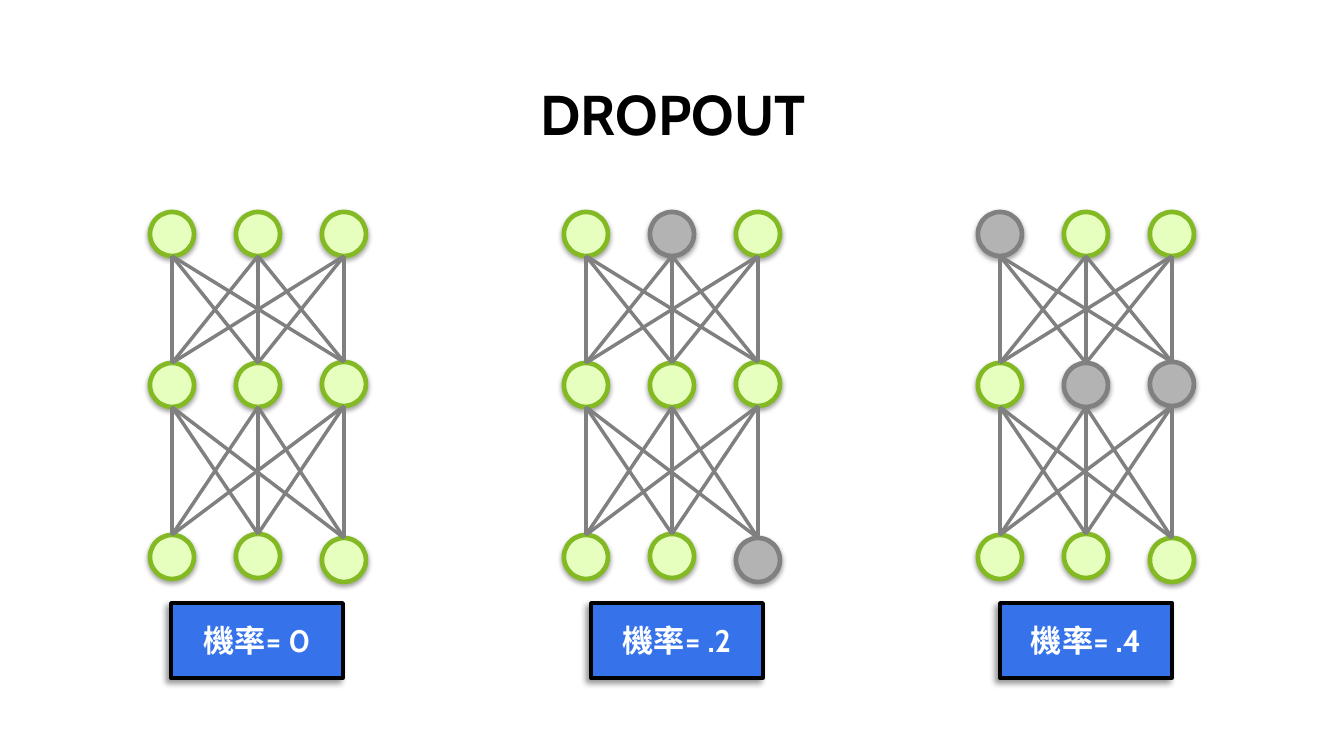
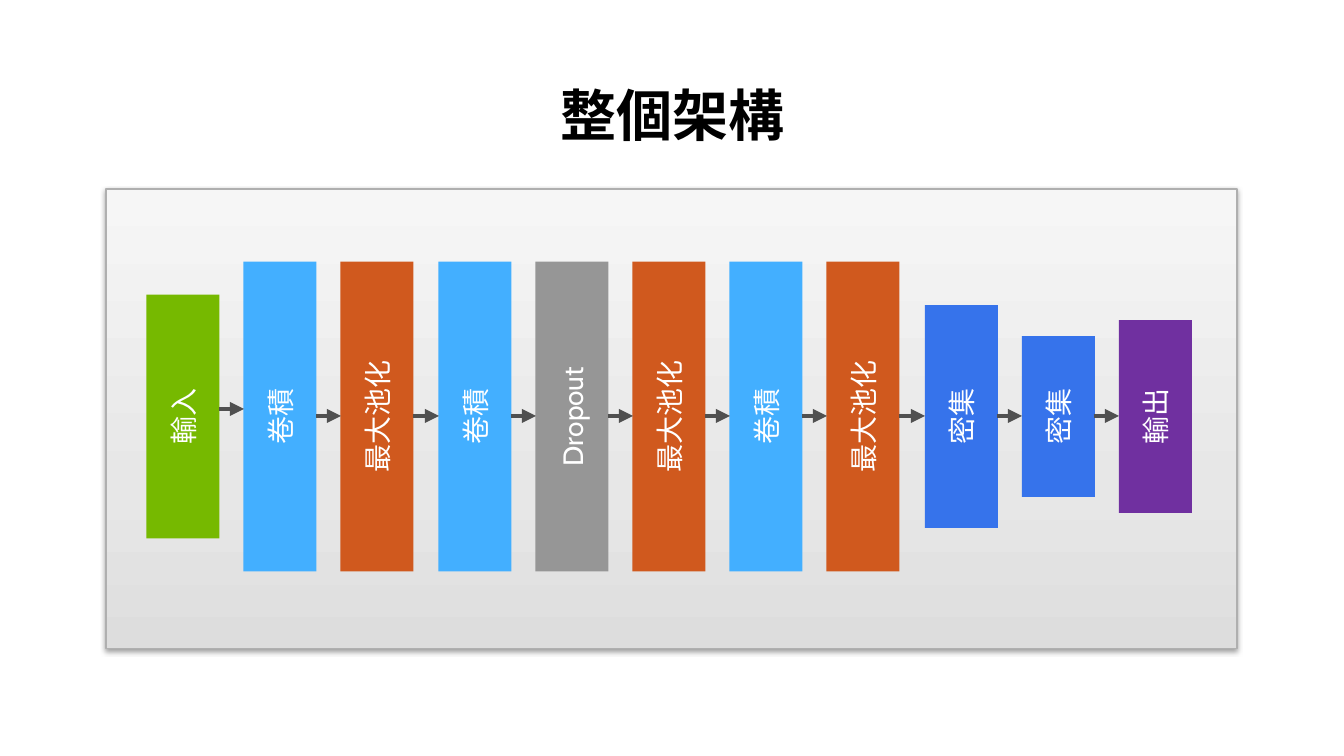
from copy import deepcopy
from dataclasses import dataclass
from itertools import product

from lxml.etree import SubElement as Sub
from pptx import Presentation
from pptx.dml.color import RGBColor as Rgb
from pptx.enum.shapes import MSO_CONNECTOR as Link, MSO_SHAPE as Form
from pptx.enum.text import MSO_ANCHOR as Anchor, MSO_AUTO_SIZE as Fit, PP_ALIGN as Align
from pptx.oxml.ns import qn
from pptx.util import Inches, Pt


@dataclass(frozen=True)
class Theme:
    font: str = "Cabin"
    head: int = 36
    label: int = 20
    body: int = 18
    black: str = "000000"
    white: str = "FFFFFF"
    live: tuple = ("E7FFBE", "83BA24")
    dead: tuple = ("B3B3B3", "808080")
    wire: str = "808080"
    arrow: str = "505050"
    rim: str = "AFAFAF"
    ramp: tuple = ((0, "DDDDDD"), (0.35, "E7E7E7"), (1, "F6F6F6"))
    green: str = "76B900"
    sky: str = "43AFFF"
    rust: str = "D0591E"
    gray: str = "969696"
    blue: str = "3673EB"
    plum: str = "7030A0"


theme = Theme()
PX = Inches(1) // 112


def paint(item, fill=None, edge=None, width=0, shade=None):
    if fill:
        item.fill.solid()
        item.fill.fore_color.rgb = Rgb.from_string(fill)
    if edge:
        item.line.color.rgb = Rgb.from_string(edge)
        item.line.width = Pt(width)
    else:
        item.line.fill.background()
    effect = Sub(item.element.spPr, qn("a:effectLst"))
    if shade:
        alpha, blur, dist, angle = shade
        outer = Sub(effect, qn("a:outerShdw"), blurRad=str(Pt(blur)), dist=str(Pt(dist)),
                    dir=str(angle * 60000), rotWithShape="0")
        tone = Sub(outer, qn("a:srgbClr"), val=theme.black)
        Sub(tone, qn("a:alpha"), val=str(alpha * 1000))


def write(item, text, size, tone=theme.white, bold=False, anchor=Anchor.MIDDLE, space=1.0):
    frame = item.text_frame
    frame.word_wrap = True
    frame.auto_size = Fit.NONE
    frame.vertical_anchor = anchor
    para = frame.paragraphs[0]
    para.alignment = Align.CENTER
    para.line_spacing = space
    run = para.add_run()
    run.text = text
    run.font.name = theme.font
    run.font.size = Pt(size)
    run.font.bold = bold
    run.font.color.rgb = Rgb.from_string(tone)


deck = Presentation()
deck.slide_width = Inches(12)
deck.slide_height = Inches(6.75)

pages = []
for text, top in (("DROPOUT", 80), ("整個架構", 81)):
    page = deck.slides.add_slide(deck.slide_layouts[5])
    title = page.shapes.title
    title.left, title.top, title.width, title.height = 62 * PX, top * PX, 1222 * PX, 73 * PX
    write(title, text, theme.head, theme.black, bold=True, anchor=Anchor.BOTTOM, space=0.9)
    pages.append(page)
drop, arch = pages

SIZE = 44
STEP = 86
ROWS = ((212, 212, 212), (363, 363, 362), (535, 534, 538))
NETS = (
    (258, 171, "機率= 0", ()),
    (672, 591, "機率= .2", ((0, 1), (2, 2))),
    (1086, 1000, "機率= .4", ((0, 0), (1, 1), (1, 2))),
)

for mid, left, text, off in NETS:
    net = drop.shapes.add_group_shape().shapes
    cols = [mid + STEP * col for col in (-1, 0, 1)]
    for row, col in product(range(3), repeat=2):
        node = net.add_shape(Form.OVAL, (cols[col] - SIZE // 2) * PX, ROWS[row][col] * PX,
                             SIZE * PX, SIZE * PX)
        fill, edge = theme.dead if (row, col) in off else theme.live
        paint(node, fill, edge, 3, (34, 3.1, 1.8, 90))
    for row, col, goal in product(range(2), range(3), range(3)):
        wire = net.add_connector(Link.STRAIGHT, cols[col] * PX, (ROWS[row][col] + SIZE) * PX,
                                 cols[goal] * PX, ROWS[row + 1][goal] * PX)
        paint(wire, edge=theme.wire, width=2.25)
    label = drop.shapes.add_shape(Form.RECTANGLE, left * PX, 603 * PX, 172 * PX, 75 * PX)
    paint(label, theme.blue, theme.black, 2.25, (40, 4, 3, 135))
    write(label, text, theme.label, bold=True)

flow = arch.shapes.add_group_shape().shapes
panel = flow.add_shape(Form.RECTANGLE, 106 * PX, 189 * PX, 1131 * PX, 460 * PX)
panel.fill.gradient()
panel.fill.gradient_angle = 90
stops = panel.element.spPr.find(".//" + qn("a:gsLst"))
stops.insert(1, deepcopy(stops[0]))
for stop, (place, tone) in zip(panel.fill.gradient_stops, theme.ramp):
    stop.position = place
    stop.color.rgb = Rgb.from_string(tone)
paint(panel, edge=theme.rim, width=0.75, shade=(38, 3.1, 1.6, 90))

WIDE = 73
AXIS = 416
conv = ("卷積", 310, theme.sky)
pool = ("最大池化", 310, theme.rust)
LAYERS = (
    ("輸入", 244, theme.green), conv, pool, conv, ("Dropout", 310, theme.gray),
    pool, conv, pool, ("密集", 223, theme.blue), ("密集", 161, theme.blue),
    ("輸出", 193, theme.plum),
)

mids = [183 + round(97.2 * step) for step in range(len(LAYERS))]
bars = []
for mid, (text, tall, fill) in zip(mids, LAYERS):
    bar = flow.add_shape(Form.RECTANGLE, (mid - tall // 2) * PX, (AXIS - WIDE // 2) * PX,
                         tall * PX, WIDE * PX)
    bar.rotation = 270
    paint(bar, fill)
    write(bar, text, theme.body)
    bars.append(bar)

for step in range(len(bars) - 1):
    lane = (AXIS if step else 409) * PX
    tail, head = (mids[step] + WIDE // 2) * PX, (mids[step + 1] - WIDE // 2) * PX
    arrow = flow.add_connector(Link.STRAIGHT, tail, lane, head, lane)
    if step:
        arrow.begin_connect(bars[step], 2)
        arrow.end_connect(bars[step + 1], 0)
        arrow.begin_x, arrow.begin_y, arrow.end_x, arrow.end_y = tail, lane, head, lane
    paint(arrow, edge=theme.arrow, width=3)
    Sub(arrow.get_or_add_ln(), qn("a:tailEnd"), type="triangle")

deck.save("out.pptx")
